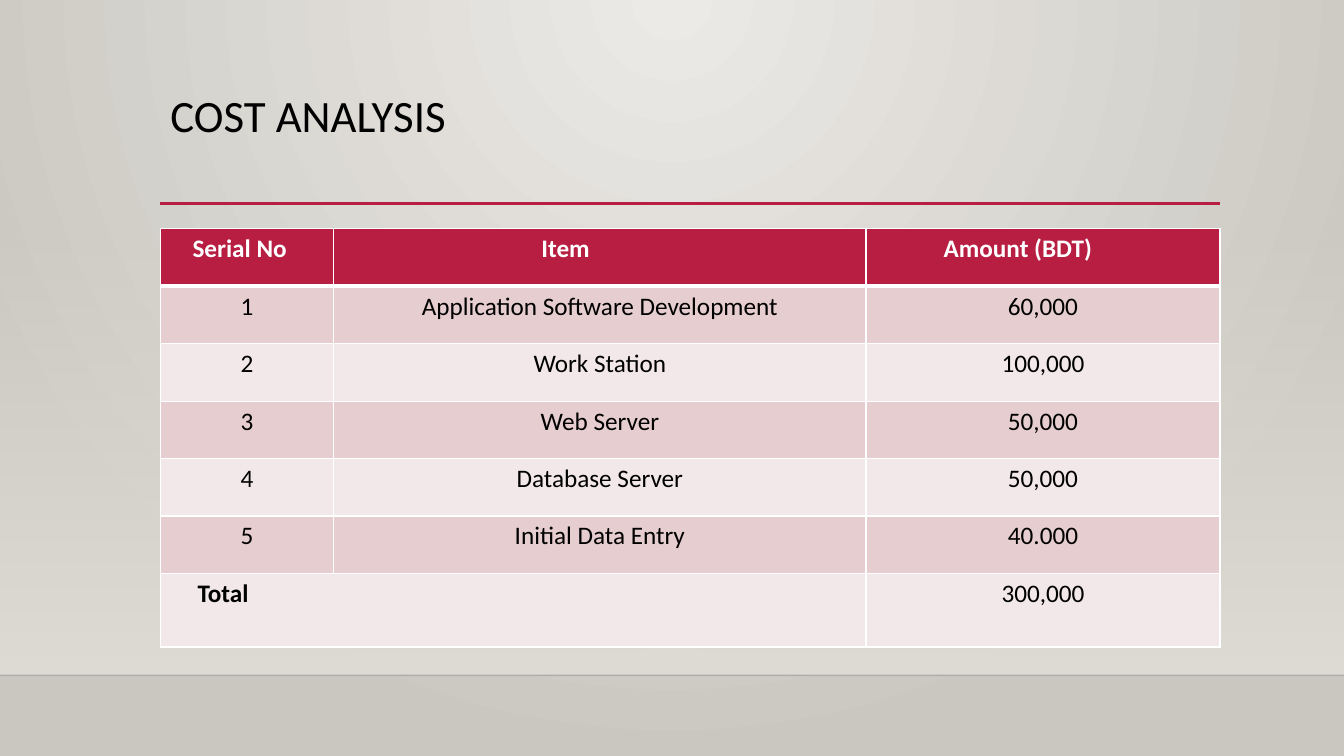
import pptx
import pptx.util
import pptx.oxml
import pptx.oxml.ns
import pptx.dml.color
import pptx.enum.shapes
import pptx.enum.text
from lxml import etree

Inches, Pt = pptx.util.Inches, pptx.util.Pt
ALIGN = pptx.enum.text.PP_ALIGN
qn = pptx.oxml.ns.qn

COLORS = {
    "glow": "ECEAE7", "edge": "CAC7C1", "wall": "DFDBD5", "floor": "000001",
    "accent": "B71E42", "dark": "E6CDCF", "light": "F3E8E9",
    "text": "000000", "white": "FFFFFF",
}
FONT = "Calibri"
HEAD = ["Serial No", "Item", "Amount (BDT)"]
INDENTS = [0.32, 2.06, 0.77]
ITEMS = [
    ["1", "Application Software Development", "60,000"],
    ["2", "Work Station", "100,000"],
    ["3", "Web Server", "50,000"],
    ["4", "Database Server", "50,000"],
    ["5", "Initial Data Entry", "40.000"],
]
TOTAL = ["Total", "", "300,000"]


def rgb(name):
    return pptx.dml.color.RGBColor.from_string(COLORS[name])


def fade(part, percent):
    """Set the opacity of the first colour inside an XML part."""
    color = next(part.iter(qn("a:srgbClr")))
    etree.SubElement(color, qn("a:alpha"), val=str(percent * 1000))


def blend(fill, start, end):
    fill.gradient()
    for stop, name, place in zip(fill.gradient_stops, (start, end), (0, 1)):
        stop.color.rgb = rgb(name)
        stop.position = place


def style(para, size, color, bold=False, align=ALIGN.LEFT):
    para.alignment = align
    font = para.font
    font.name, font.size, font.bold = FONT, Pt(size), bold
    font.color.rgb = rgb(color)


def add_rule(slide, left, top, width, color, weight):
    rule = slide.shapes.add_connector(
        pptx.enum.shapes.MSO_CONNECTOR.STRAIGHT,
        Inches(left), Inches(top), Inches(left + width), Inches(top))
    rule.line.color.rgb = rgb(color)
    rule.line.width = Pt(weight)
    etree.SubElement(rule._element.spPr, qn("a:effectLst"))
    return rule


def add_scene(slide, width, top, floor):
    # Round glow from the top centre
    blend(slide.background.fill, "glow", "edge")
    grad = next(slide.element.iter(qn("a:gradFill")))
    grad.remove(grad.find(qn("a:lin")))
    glow = etree.SubElement(grad, qn("a:path"), path="circle")
    etree.SubElement(glow, qn("a:fillToRect"),
                     l="43000", t="0", r="43000", b="100000")

    # Wall fading in towards the floor line
    wall = slide.shapes.add_shape(
        pptx.enum.shapes.MSO_SHAPE.RECTANGLE,
        0, Inches(top), Inches(width), Inches(floor - top))
    wall.shadow.inherit = False
    wall.line.fill.background()
    blend(wall.fill, "wall", "wall")
    wall.fill.gradient_angle = 270
    fade(wall._element.spPr, 0)
    edge = add_rule(slide, 0, floor, width, "floor", 1)
    fade(edge._element.spPr, 20)


def add_title(slide, left, top, width, height, text):
    title = slide.shapes.title
    title.left, title.top = Inches(left), Inches(top)
    title.width, title.height = Inches(width), Inches(height)
    frame = title.text_frame
    frame.text = text
    frame.word_wrap = True
    frame.auto_size = pptx.enum.text.MSO_AUTO_SIZE.NONE
    frame.vertical_anchor = pptx.enum.text.MSO_ANCHOR.TOP
    para = frame.paragraphs[0]
    style(para, 32, "text")
    para.line_spacing = 0.9
    add_rule(slide, left, top + height - 0.01, width + 0.01, "accent", 2.5)


def add_edges(cell, weights):
    props = cell._tc.get_or_add_tcPr()
    for side, weight in zip("LRTB", weights):
        line = etree.SubElement(props, qn("a:ln" + side), w=str(Pt(weight)))
        fill = etree.SubElement(line, qn("a:solidFill"))
        etree.SubElement(fill, qn("a:srgbClr"), val=COLORS["white"])


def add_costs(slide, left, top, width, height):
    rows = [HEAD, *ITEMS, TOTAL]
    last = len(rows) - 1
    table = slide.shapes.add_table(
        len(rows), len(HEAD), Inches(left), Inches(top),
        Inches(width), Inches(height)).table
    for col, size in zip(table.columns, (1.72, 5.28, width - 7)):
        col.width = Inches(size)
    for r, row in enumerate(table.rows):
        row.height = Inches(0.57 if r < last else height - 0.57 * last)

    for r, row in enumerate(rows):
        fill = "accent" if r == 0 else "dark" if r % 2 else "light"
        for c, text in enumerate(row):
            cell = table.cell(r, c)
            add_edges(cell, (1, 1, 3 if r == 1 else 1, 3 if r == 0 else 1))
            cell.fill.solid()
            cell.fill.fore_color.rgb = rgb(fill)
            cell.text = text
            para = cell.text_frame.paragraphs[0]
            if r == 0:
                cell.margin_left = Inches(INDENTS[c])
                style(para, 18, "white", True)
            elif text == "Total":
                cell.margin_left = Inches(0.37)
                style(para, 18, "text", True)
            else:
                style(para, 18, "text", align=ALIGN.CENTER)
    table.cell(last, 0).merge(table.cell(last, 1))


def main():
    deck = pptx.Presentation()
    deck.slide_width, deck.slide_height = Inches(13.33), Inches(7.5)
    slide = deck.slides.add_slide(deck.slide_layouts[5])
    add_scene(slide, 13.33, 2.21, 6.7)
    add_title(slide, 1.59, 0.88, 10.5, 1.15, "COST ANALYSIS")
    add_costs(slide, 1.59, 2.27, 10.51, 4.15)
    deck.save("out.pptx")


if __name__ == "__main__":
    main()
